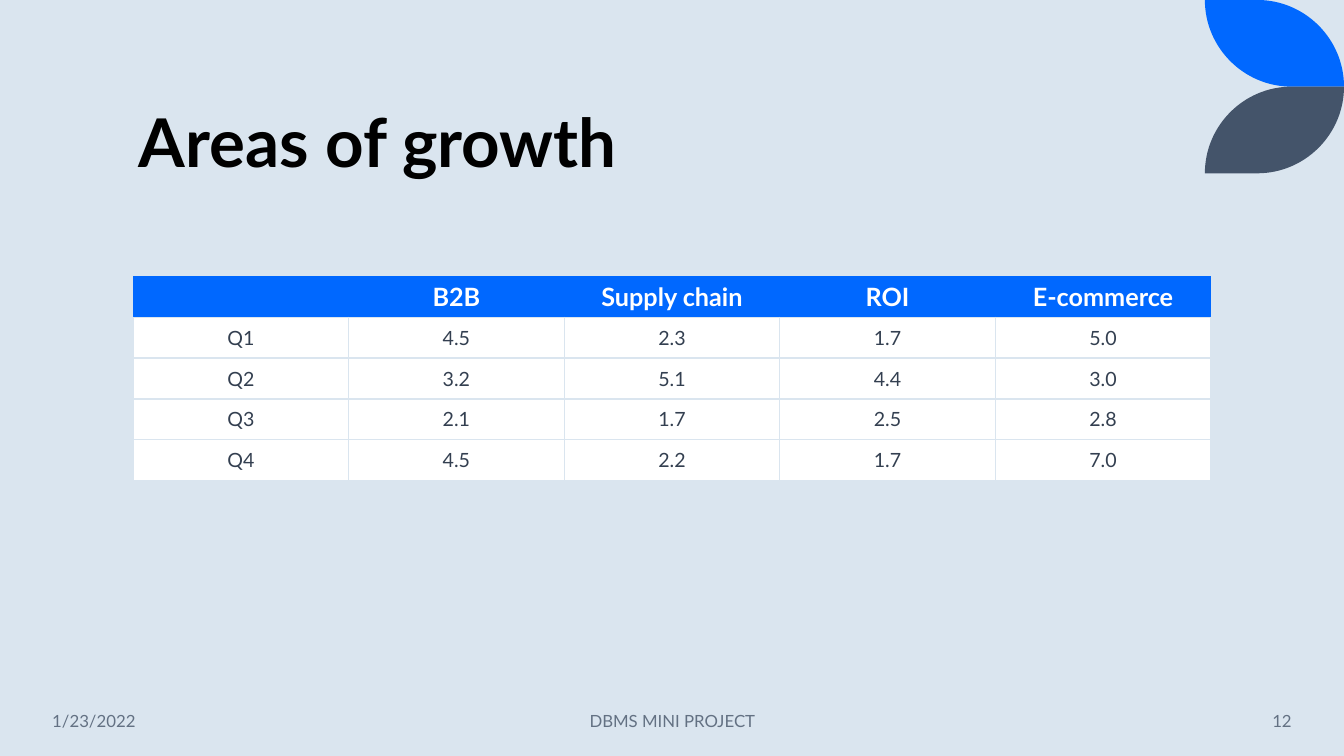
from pptx import Presentation
from pptx.dml.color import RGBColor as RGB
from pptx.enum.text import MSO_ANCHOR as Anchor, PP_ALIGN as Align
from pptx.util import Inches, Pt
from lxml.etree import SubElement

SKY = RGB(0xDA, 0xE5, 0xEF)
BLUE = RGB(0x00, 0x68, 0xFF)
SLATE = RGB(0x44, 0x54, 0x6A)
INK = RGB(0x33, 0x3F, 0x50)
GREY = RGB(0x63, 0x71, 0x83)
WHITE = RGB(0xFF, 0xFF, 0xFF)
BLACK = RGB(0, 0, 0)
FONT = "Lato"
WIDE, HIGH = 13.33, 7.5

TITLE = "Areas of growth"
ROWS = [
    ("", "B2B", "Supply chain", "ROI", "E-commerce"),
    ("Q1", "4.5", "2.3", "1.7", "5.0"),
    ("Q2", "3.2", "5.1", "4.4", "3.0"),
    ("Q3", "2.1", "1.7", "2.5", "2.8"),
    ("Q4", "4.5", "2.2", "1.7", "7.0"),
]
FOOT = [
    ("1/23/2022", 0.42, 1.86, Align.LEFT),
    ("DBMS MINI PROJECT", 4.42, 4.5, Align.CENTER),
    ("12", 11.1, 1.81, Align.RIGHT),
]
GRID = 1.32, 2.74, 10.69, 2.03
LEAF_W, LEAF_H = 1.38, 0.86
BEND = 0.55


def style(para, size, color, bold=False, align=Align.LEFT):
    para.alignment = align
    font = para.font
    font.name, font.size, font.bold = FONT, Pt(size), bold
    font.color.rgb = color


def add_text(slide, text, box, anchor, *look):
    frame = slide.shapes.add_textbox(*map(Inches, box)).text_frame
    frame.word_wrap = True
    frame.vertical_anchor = anchor
    para = frame.paragraphs[0]
    para.text = text
    style(para, *look)
    return para


def add_leaf(slide, color, flip):
    left, pull = WIDE - LEAF_W, LEAF_H * BEND
    top = WIDE - LEAF_H
    base = left + LEAF_H
    points = [
        (left, 0), (top, 0),
        (top + pull, 0), (WIDE, LEAF_H - pull), (WIDE, LEAF_H),
        (base, LEAF_H),
        (base - pull, LEAF_H), (left, pull), (left, 0),
    ]
    if flip:
        points = [(x, 2 * LEAF_H - y) for x, y in points]
    start, *rest = [(Inches(x), Inches(y)) for x, y in points]
    pen = slide.shapes.build_freeform(*start)
    pen.add_line_segments(rest, close=True)
    leaf = pen.convert_to_shape()
    steps = leaf._element.xpath(".//a:lnTo")
    for first in (1, 5):
        curve = steps[first]
        curve.tag = curve.tag.replace("lnTo", "cubicBezTo")
        for step in steps[first + 1:first + 3]:
            curve.append(step[0])
            step.getparent().remove(step)
    leaf.shadow.inherit = False
    leaf.fill.solid()
    leaf.fill.fore_color.rgb = color
    leaf.line.fill.background()


def add_edges(cell, shown):
    props = cell._tc.get_or_add_tcPr()
    space = props.tag.split("}")[0] + "}"
    for side in "LRTB":
        line = SubElement(props, f"{space}ln{side}", w=str(Pt(1)))
        if side in shown:
            fill = SubElement(line, space + "solidFill")
            SubElement(fill, space + "srgbClr", val=str(SKY))
        else:
            SubElement(line, space + "noFill")


def add_grid(slide):
    size = len(ROWS), len(ROWS[0])
    table = slide.shapes.add_table(*size, *map(Inches, GRID)).table
    table.horz_banding = False
    for r, row in enumerate(ROWS):
        head = r == 0
        for c, text in enumerate(row):
            cell = table.cell(r, c)
            add_edges(cell, "B" if head else "LRTB")
            cell.fill.solid()
            cell.fill.fore_color.rgb = BLUE if head else WHITE
            cell.vertical_anchor = Anchor.MIDDLE
            cell.text = text
            look = (18, WHITE, True) if head else (14, INK, False)
            style(cell.text_frame.paragraphs[0], *look, Align.CENTER)


def main():
    deck = Presentation()
    deck.slide_width, deck.slide_height = Inches(WIDE), Inches(HIGH)
    slide = deck.slides.add_slide(deck.slide_layouts[6])
    slide.background.fill.solid()
    slide.background.fill.fore_color.rgb = SKY
    add_leaf(slide, BLUE, False)
    add_leaf(slide, SLATE, True)
    title = add_text(slide, TITLE, (1.28, 0.41, 10.69, 1.45), Anchor.BOTTOM, 48, BLACK, True)
    title.line_spacing = 0.9
    add_grid(slide)
    for text, left, width, align in FOOT:
        add_text(slide, text, (left, 6.95, width, 0.4), Anchor.MIDDLE, 12, GREY, False, align)
    deck.save("out.pptx")


if __name__ == "__main__":
    main()
